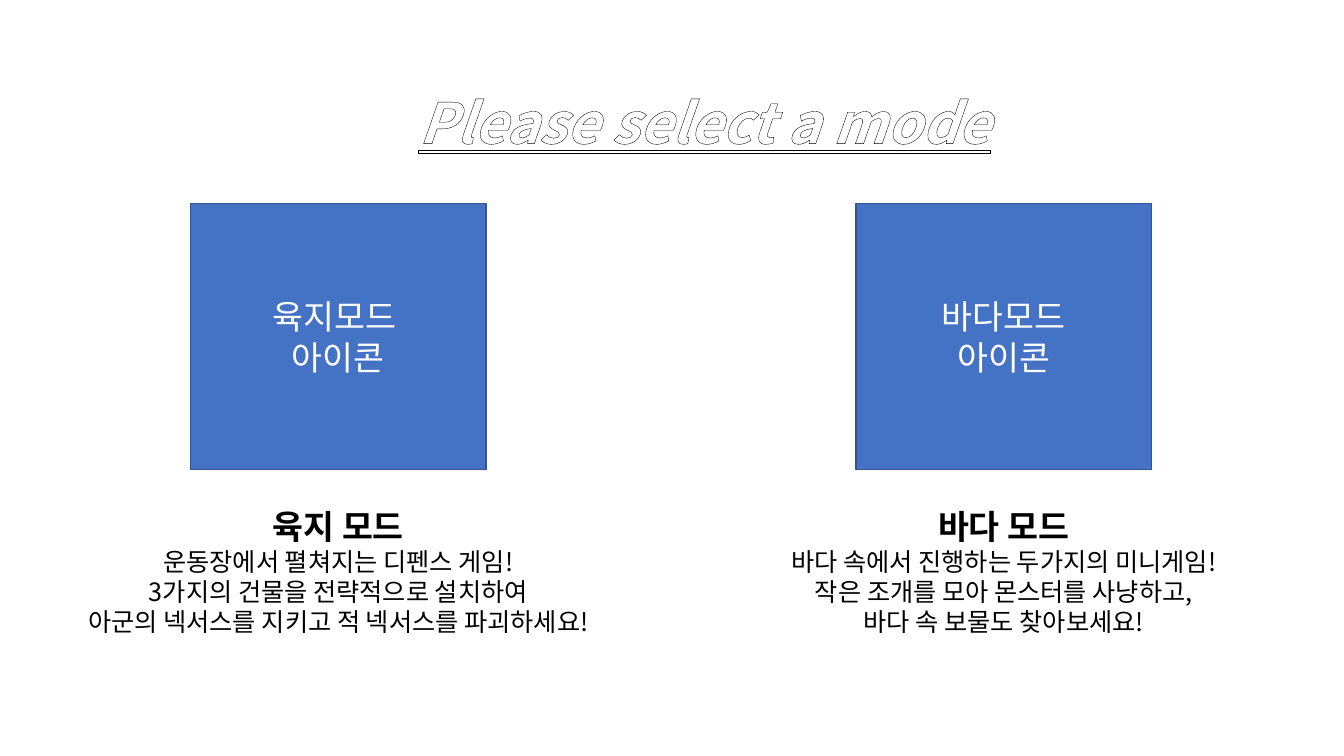
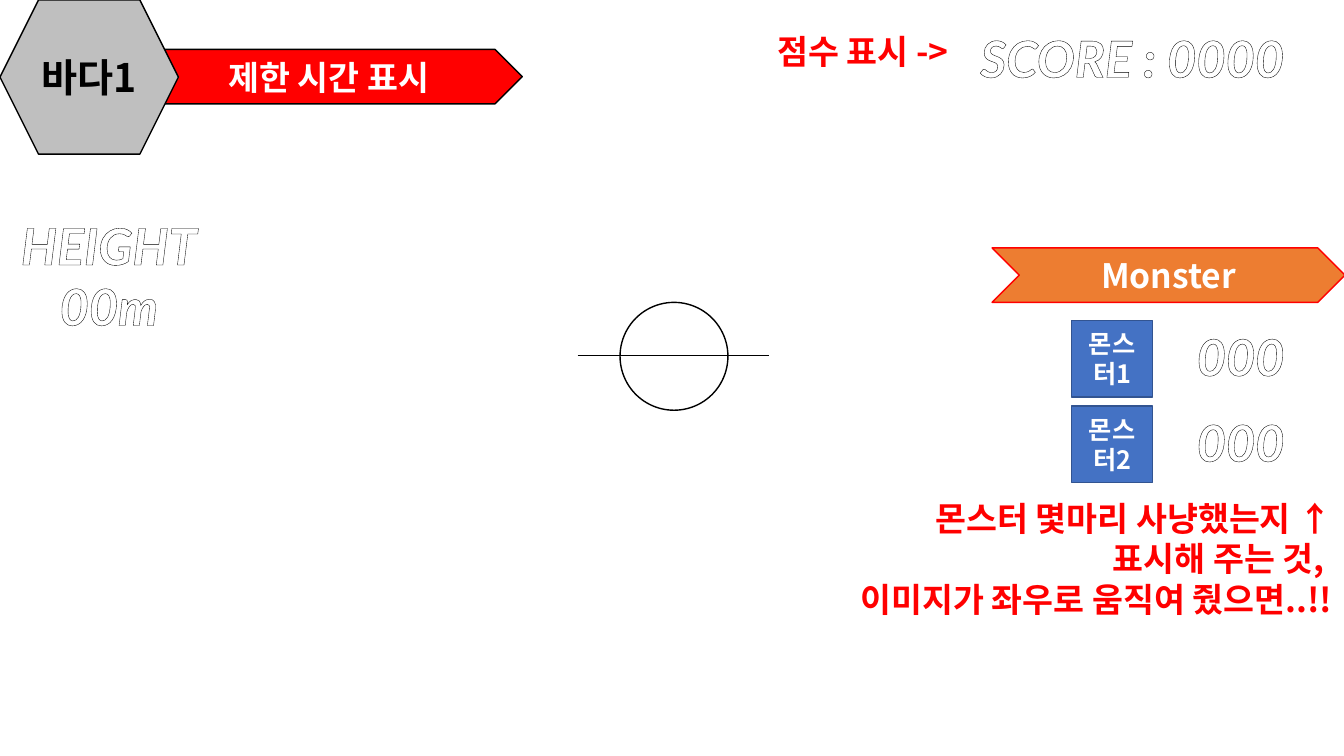
from lxml import etree
from pptx import Presentation
from pptx.dml.color import RGBColor
from pptx.enum.shapes import MSO_CONNECTOR, MSO_SHAPE as SHAPE
from pptx.enum.text import MSO_AUTO_SIZE, PP_ALIGN as ALIGN
from pptx.oxml.ns import qn
from pptx.util import Inches, Pt

WHITE = RGBColor(0xFF, 0xFF, 0xFF)
BLACK = RGBColor(0, 0, 0)
RED = RGBColor(0xFF, 0, 0)
BLUE = RGBColor(0x44, 0x72, 0xC4)
NAVY = RGBColor(0x32, 0x54, 0x91)
ORANGE = RGBColor(0xED, 0x7D, 0x31)
GRAY = RGBColor(0xBF, 0xBF, 0xBF)

KOREAN = "Noto Sans CJK KR"
ICON = {"name": KOREAN, "size": Pt(24), "color": WHITE}
BANNER = {**ICON, "bold": True}
BADGE = {**BANNER, "size": Pt(28), "color": BLACK}
TILE = {**BANNER, "size": Pt(18)}
NOTE = {**BANNER, "color": RED}
HEADING = {**BANNER, "color": BLACK}
BODY = {**HEADING, "size": Pt(18), "bold": False}
TITLE = {**BANNER, "size": Pt(40), "italic": True, "underline": True, "outline": Pt(1.5)}
COUNTER = {"name": "Lato", "size": Pt(36), "color": WHITE, "bold": True,
           "italic": True, "outline": Pt(0.75)}


def add_text(s, box, lines, style, align=ALIGN.CENTER, rest=None, sp=None):
    if sp is None:
        sp = s.shapes.add_textbox(*map(Inches, box))
        sp.text_frame.auto_size = MSO_AUTO_SIZE.SHAPE_TO_FIT_TEXT
    tf = sp.text_frame
    tf.word_wrap = True
    for i, line in enumerate(lines):
        p = tf.add_paragraph() if i else tf.paragraphs[0]
        p.alignment = align
        r = p.add_run()
        r.text = line
        look = rest if i and rest else style
        for key, value in look.items():
            if key == "color":
                r.font.color.rgb = value
            elif key != "outline":
                setattr(r.font, key, value)
        rpr = r.font._element
        etree.SubElement(rpr, qn("a:ea"), typeface=look["name"])
        if "outline" in look:
            ln = etree.Element(qn("a:ln"), w=str(look["outline"]))
            fill = etree.SubElement(ln, qn("a:solidFill"))
            etree.SubElement(fill, qn("a:srgbClr"), val=str(BLACK))
            rpr.insert(0, ln)


def add_shape(s, kind, box, fill, line, lines=(), style=None):
    sp = s.shapes.add_shape(kind, *map(Inches, box))
    sp.shadow.inherit = False
    sp.fill.solid()
    sp.fill.fore_color.rgb = fill
    sp.line.color.rgb = line
    sp.line.width = Pt(1)
    add_text(s, box, lines, style, sp=sp)


prs = Presentation()
prs.slide_width, prs.slide_height = Inches(13.33), Inches(7.5)
blank = prs.slide_layouts[6]

s = prs.slides.add_slide(blank)
modes = [
    (["육지모드 ", "아이콘"],
     ["육지 모드", "운동장에서 펼쳐지는 디펜스 게임!", "3가지의 건물을 전략적으로 설치하여",
      "아군의 넥서스를 지키고 적 넥서스를 파괴하세요!"]),
    (["바다모드", "아이콘"],
     ["바다 모드", "바다 속에서 진행하는 두가지의 미니게임!", "작은 조개를 모아 몬스터를 사냥하고,",
      "바다 속 보물도 찾아보세요!"]),
]
for i, (icon, description) in enumerate(modes):
    shift = i * 6.6
    add_shape(s, SHAPE.RECTANGLE, (1.89 + shift, 2.02, 2.93, 2.64), BLUE, NAVY, icon, ICON)
    add_text(s, (0.45 + shift, 4.97, 5.81, 1.41), description, HEADING, rest=BODY)
add_text(s, (4.01, 0.82, 5.95, 0.77), ["Please select a mode"], TITLE)

s = prs.slides.add_slide(blank)
add_shape(s, SHAPE.CHEVRON, (1.34, 0.49, 3.84, 0.54), RED, BLACK, ["제한 시간 표시"], BANNER)
add_shape(s, SHAPE.HEXAGON, (0, 0, 1.77, 1.53), GRAY, BLACK, ["바다1"], BADGE)
add_text(s, (0, 2.08, 2.16, 1.31), ["HEIGHT", "00m"], COUNTER)

add_shape(s, SHAPE.OVAL, (6.15, 3, 1.07, 1.07), WHITE, BLACK)
horizon = s.shapes.add_connector(
    MSO_CONNECTOR.STRAIGHT, Inches(5.73), Inches(3.53), Inches(7.63), Inches(3.53))
horizon.line.color.rgb = BLACK
horizon.line.width = Pt(0.5)
etree.SubElement(horizon._element.spPr, qn("a:effectLst"))

add_shape(s, SHAPE.CHEVRON, (9.84, 2.46, 3.5, 0.54), ORANGE, RED, ["Monster"], BANNER)
for i in range(2):
    top = 3.18 + i * 0.85
    add_text(s, (11.17, top, 2.16, 0.71), [" 000"], COUNTER)
    add_shape(s, SHAPE.RECTANGLE, (10.63, top, 0.8, 0.76), BLUE, NAVY, [f"몬스터{i + 1}"], TILE)
add_text(s, (7.21, 4.89, 6.1, 1.31),
         ["몬스터 몇마리 사냥했는지 ↑", " 표시해 주는 것, ", "이미지가 좌우로 움직여 줬으면..!!"],
         NOTE, ALIGN.RIGHT)

add_text(s, (9.48, 0.22, 3.5, 0.71), ["SCORE : 0000"], COUNTER)
add_text(s, (6.53, 0.26, 3.05, 0.5), ["점수 표시 -> "], NOTE, ALIGN.RIGHT)

prs.save("out.pptx")
